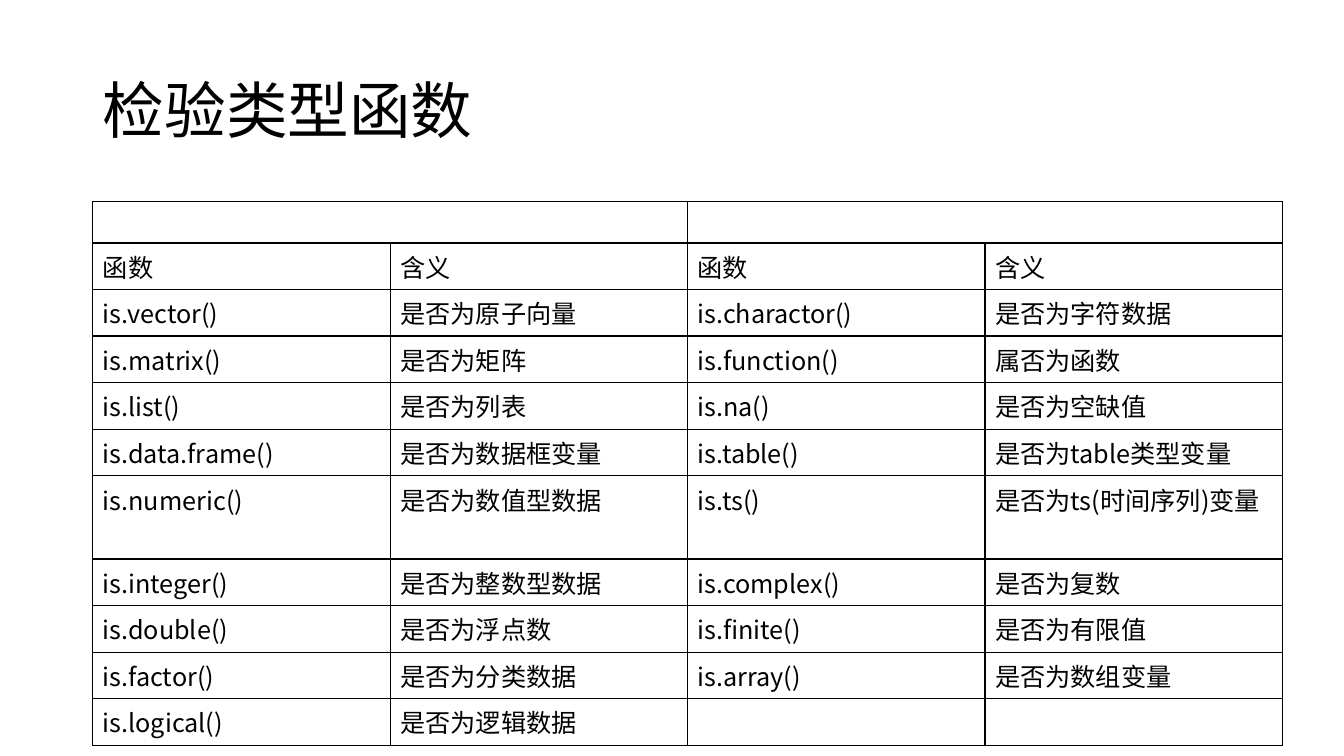
from lxml.etree import SubElement
from pptx import Presentation
from pptx.dml.color import RGBColor
from pptx.enum.text import MSO_ANCHOR, PP_ALIGN
from pptx.oxml.ns import qn
from pptx.util import Inches, Pt

BLACK = RGBColor(0x00, 0x00, 0x00)
FONT = "Noto Sans CJK SC"
TITLE = "检验类型函数"
HEADER_SPANS = [(0, 1), (2, 3)]
FUNCTION_ROWS = [
    ("", "", "", ""),
    ("函数", "含义", "函数", "含义"),
    ("is.vector()", "是否为原子向量", "is.charactor()", "是否为字符数据"),
    ("is.matrix()", "是否为矩阵", "is.function()", "属否为函数"),
    ("is.list()", "是否为列表", "is.na()", "是否为空缺值"),
    ("is.data.frame()", "是否为数据框变量", "is.table()", "是否为table类型变量"),
    ("is.numeric()", "是否为数值型数据", "is.ts()", "是否为ts(时间序列)变量"),
    ("is.integer()", "是否为整数型数据", "is.complex()", "是否为复数"),
    ("is.double()", "是否为浮点数", "is.finite()", "是否为有限值"),
    ("is.factor()", "是否为分类数据", "is.array()", "是否为数组变量"),
    ("is.logical()", "是否为逻辑数据", "", ""),
]


class SlideBuilder:
    def __init__(self, page, font, color):
        self.page = page
        self.font = font
        self.color = color

    def add_span(self, para, text, size):
        span = para.add_run()
        span.text = text
        formats = {"name": self.font, "size": Pt(size), "bold": False}
        for name, value in formats.items():
            setattr(span.font, name, value)
        span.font.color.rgb = self.color
        east_asian = SubElement(span._r.get_or_add_rPr(), qn("a:ea"))
        east_asian.set("typeface", self.font)

    def title(self, text, left, top, width, height, size):
        box = self.page.shapes.title
        place = {"left": left, "top": top, "width": width, "height": height}
        for name, value in place.items():
            setattr(box, name, Inches(value))
        box.text_frame.vertical_anchor = MSO_ANCHOR.MIDDLE
        box.text_frame.word_wrap = True
        para = box.text_frame.paragraphs[0]
        formats = {"alignment": PP_ALIGN.LEFT, "line_spacing": 0.9}
        for name, value in formats.items():
            setattr(para, name, value)
        self.add_span(para, text, size)

    def border(self, cell, width):
        properties = cell._tc.get_or_add_tcPr()
        for side in ("lnL", "lnR", "lnT", "lnB"):
            line = SubElement(properties, qn(f"a:{side}"), w=str(Pt(width)))
            fill = SubElement(line, qn("a:solidFill"))
            SubElement(fill, qn("a:srgbClr"), val=str(self.color))

    def table(self, rows, spans, left, top, column_width, row_height, size):
        columns = len(rows[0])
        frame = self.page.shapes.add_table(
            len(rows), columns, Inches(left), Inches(top),
            Inches(column_width * columns), Inches(row_height * len(rows)))
        table = frame.table
        table.first_row = False
        table.horz_banding = False
        for column in table.columns:
            column.width = Inches(column_width)
        for row, texts in zip(table.rows, rows):
            row.height = Inches(row_height)
            for cell, text in zip(row.cells, texts):
                self.border(cell, 1)
                cell.fill.background()
                if text:
                    self.add_span(cell.text_frame.paragraphs[0], text, size)
        for first, last in spans:
            table.cell(0, first).merge(table.cell(0, last))


def main():
    deck = Presentation()
    deck.slide_width = Inches(13.33)
    deck.slide_height = Inches(7.5)
    page = deck.slides.add_slide(deck.slide_layouts[5])
    builder = SlideBuilder(page, FONT, BLACK)
    builder.title(TITLE, 0.92, 0.4, 11.5, 1.45, 44)
    builder.table(FUNCTION_ROWS, HEADER_SPANS, 0.92, 2, 2.95, 0.41, 18)
    deck.save("out.pptx")


if __name__ == "__main__":
    main()
